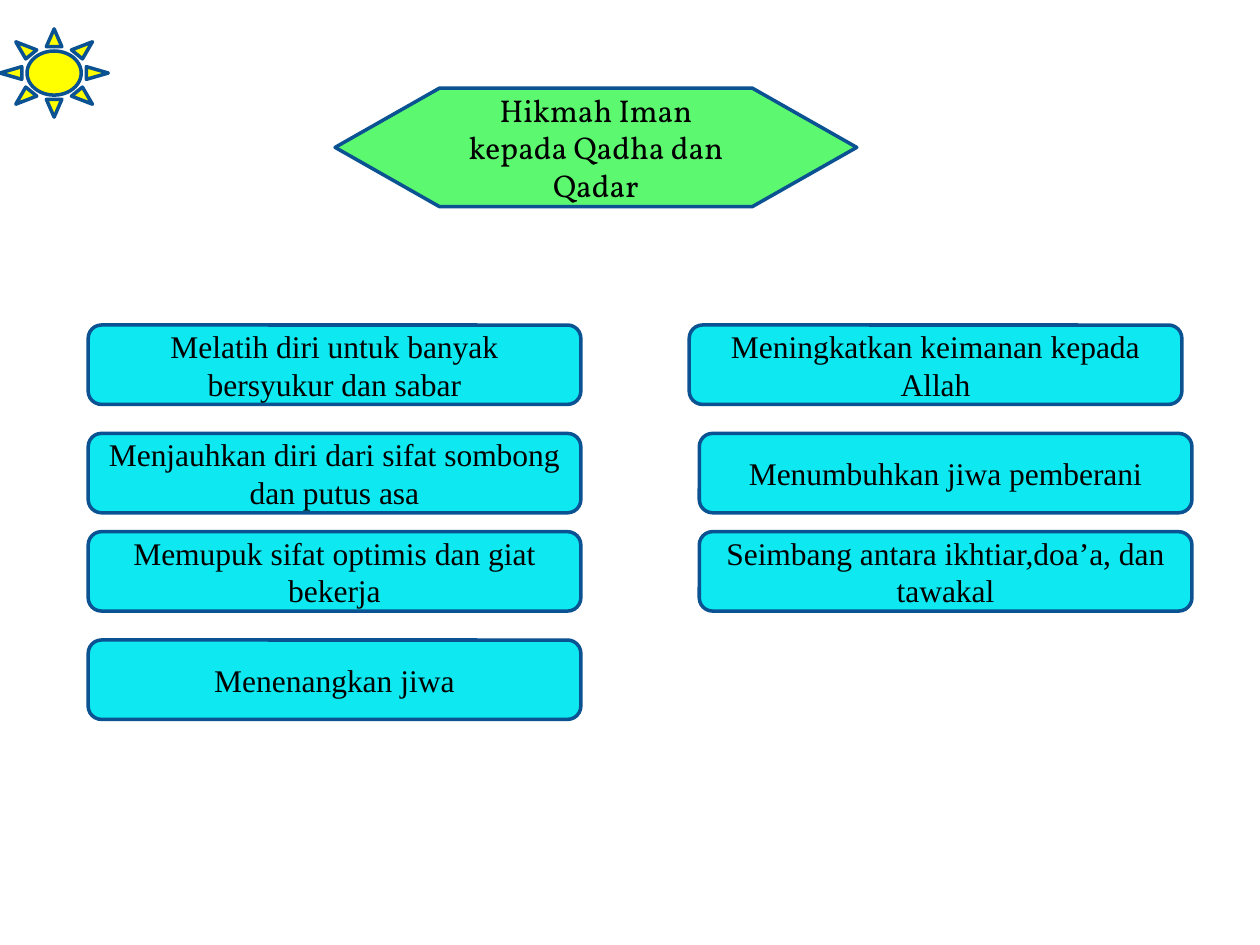
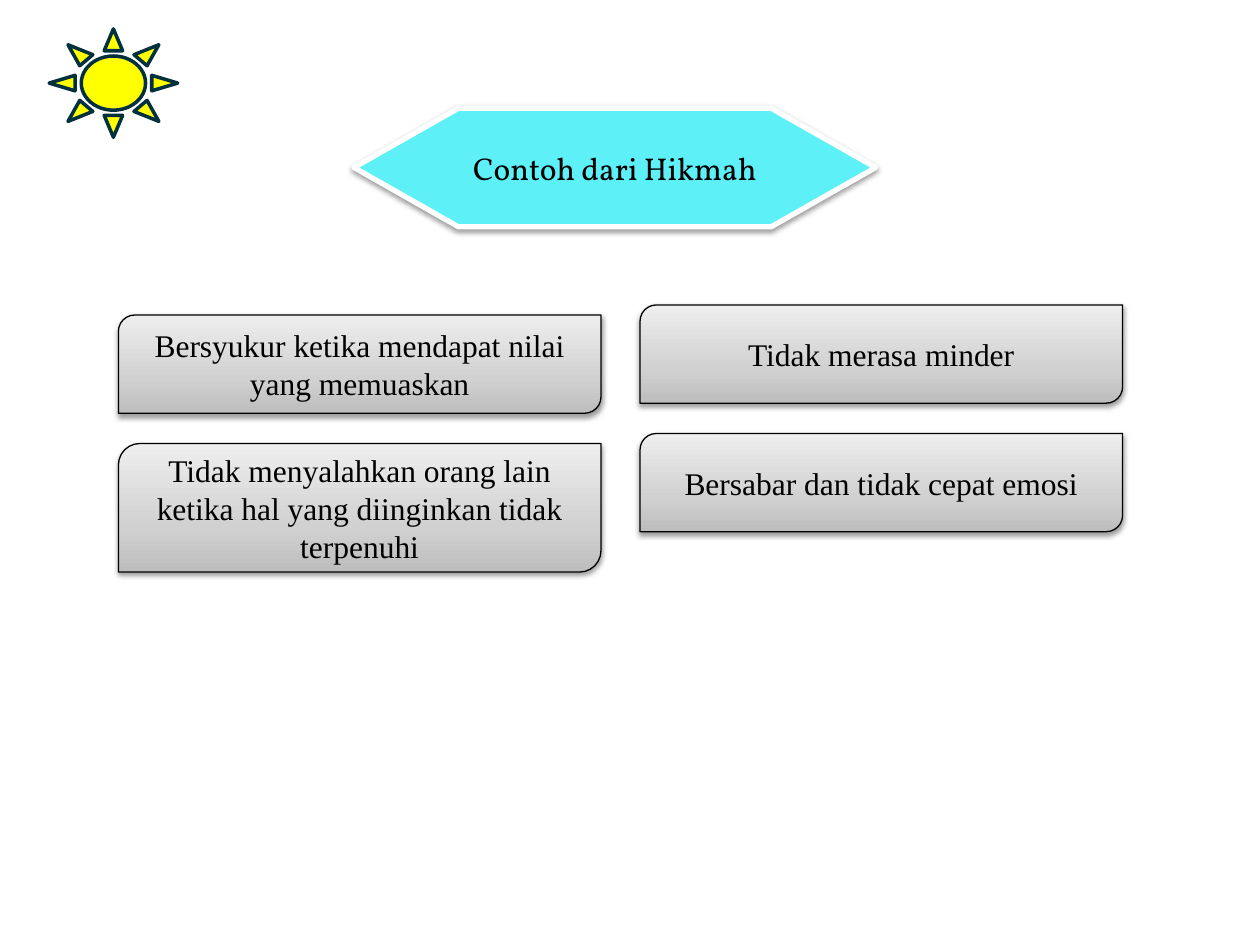
from lxml import etree
from pptx import Presentation
from pptx.dml.color import RGBColor
from pptx.enum.shapes import MSO_SHAPE as Preset
from pptx.enum.text import MSO_ANCHOR as Anchor, PP_ALIGN as Align
from pptx.oxml import parse_xml
from pptx.oxml.ns import nsdecls, qn
from pptx.util import Inches, Pt

COLORS = {
    "text": "000000", "sun": "FFFF00", "navy": "0B5292", "dark_teal": "02303E",
    "green": "5CF86F", "cyan": "0DE8F1", "light_cyan": "5DF0F6",
    "white": "FFFFFF", "black": "000000",
    "gray_dark": "BDBDBD", "gray_mid": "D1D1D1", "gray_light": "EEEEEE",
}
GRAY_STOPS = [(0, "gray_dark"), (35, "gray_mid"), (100, "gray_light")]
TITLE_FONT = {"name": "Vollkorn", "size": Pt(18)}
BODY_FONT = {"name": "Times New Roman", "size": Pt(18)}
TITLE_SIZE = (4.14, 0.94)


def add_box(slide, preset, box, fill, line, width, text="", font_format=BODY_FONT):
    """Add an outlined shape; a list as fill means gradient stops."""
    shape = slide.shapes.add_shape(preset, *[Inches(value) for value in box])
    shape.shadow.inherit = False
    if isinstance(fill, list):
        shape.fill.gradient()
        shape.fill.gradient_angle = 90
        stops = shape._element.spPr.find(qn("a:gradFill")).find(qn("a:gsLst"))
        for stop in list(stops):
            stops.remove(stop)
        for position, color in fill:
            stop = etree.SubElement(stops, qn("a:gs"), pos=str(position * 1000))
            etree.SubElement(stop, qn("a:srgbClr"), val=COLORS[color])
    else:
        shape.fill.solid()
        shape.fill.fore_color.rgb = RGBColor.from_string(COLORS[fill])
    shape.line.color.rgb = RGBColor.from_string(COLORS[line])
    shape.line.width = Pt(width)
    if text:
        frame = shape.text_frame
        frame.word_wrap = True
        frame.vertical_anchor = Anchor.MIDDLE
        paragraph = frame.paragraphs[0]
        paragraph.alignment = Align.CENTER
        run = paragraph.add_run()
        run.text = text
        for name, value in font_format.items():
            setattr(run.font, name, value)
        run.font.color.rgb = RGBColor.from_string(COLORS["text"])
    return shape


def add_shadow(shape):
    """Give the shape a soft shadow straight below it."""
    shape._element.spPr.find(qn("a:effectLst")).append(parse_xml(
        f'<a:outerShdw {nsdecls("a")} blurRad="{Pt(3.1)}" dist="{Pt(1.6)}" dir="5400000" '
        f'rotWithShape="0"><a:srgbClr val="{COLORS["black"]}"><a:alpha val="38000"/>'
        '</a:srgbClr></a:outerShdw>'))


presentation = Presentation()
presentation.slide_width, presentation.slide_height = Inches(10), Inches(7.5)
blank = presentation.slide_layouts[6]

# Slide 1: title, wisdom boxes in two columns, sun
slide = presentation.slides.add_slide(blank)
add_box(slide, Preset.FLOWCHART_PREPARATION, (2.66, 0.7, *TITLE_SIZE), "green", "navy", 2,
        "Hikmah Iman kepada Qadha dan Qadar", TITLE_FONT)

row_tops = [2.58, 3.44, 4.22, 5.08]
left_wisdom = [
    "Melatih diri untuk banyak bersyukur dan sabar",
    "Menjauhkan diri dari sifat sombong dan putus asa",
    "Memupuk sifat optimis dan giat bekerja",
    "Menenangkan jiwa",
]
right_wisdom = [
    (5.47, "Meningkatkan keimanan kepada Allah"),
    (5.55, "Menumbuhkan jiwa pemberani"),
    (5.55, "Seimbang antara ikhtiar,doa’a, dan tawakal"),
]
for column in ([(0.7, text) for text in left_wisdom], right_wisdom):
    for top, (left, text) in zip(row_tops, column):
        add_box(slide, Preset.ROUNDED_RECTANGLE, (left, top, 3.91, 0.63),
                "cyan", "navy", 2, text)
add_box(slide, Preset.SUN, (0, 0.23, 0.86, 0.7), "sun", "navy", 2)

# Slide 2: title, example boxes with shadows, sun
slide = presentation.slides.add_slide(blank)
title = add_box(slide, Preset.FLOWCHART_PREPARATION, (2.81, 0.86, *TITLE_SIZE),
                "light_cyan", "white", 3, "Contoh dari Hikmah", TITLE_FONT)
add_shadow(title)

examples = [
    (0.94, 2.5, 0.78, "Bersyukur ketika mendapat nilai yang memuaskan"),
    (0.94, 3.52, 1.02, "Tidak menyalahkan orang lain ketika hal yang diinginkan tidak terpenuhi"),
    (5.08, 2.42, 0.78, "Tidak merasa minder"),
    (5.08, 3.44, 0.78, "Bersabar dan tidak cepat emosi"),
]
for left, top, height, text in examples:
    example = add_box(slide, Preset.ROUND_2_DIAG_RECTANGLE, (left, top, 3.83, height),
                      GRAY_STOPS, "black", 0.75, text)
    add_shadow(example)
add_box(slide, Preset.SUN, (0.39, 0.23, 1.02, 0.86), "sun", "dark_teal", 2)

presentation.save("out.pptx")
